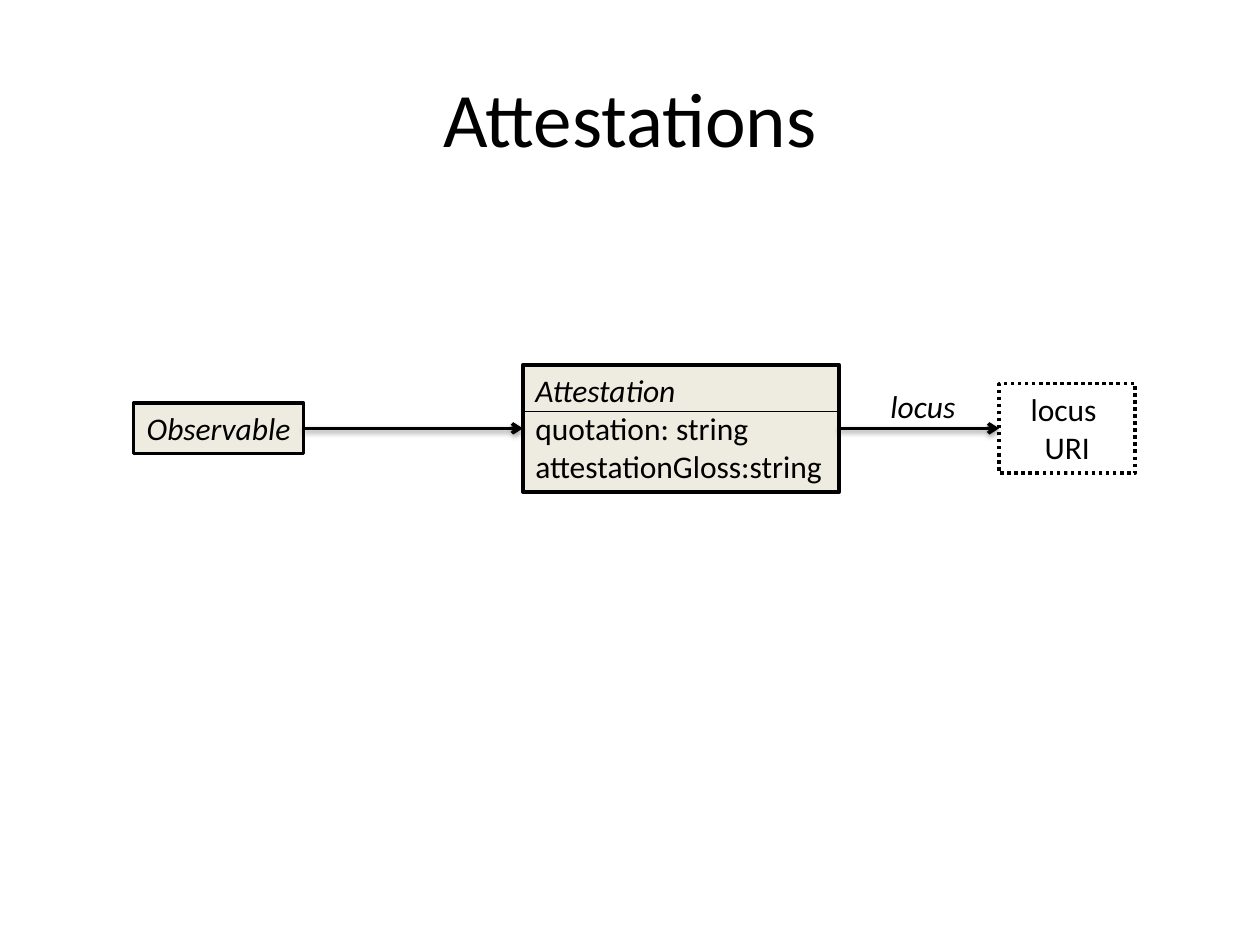
from lxml import etree
from pptx import Presentation
from pptx.dml.color import RGBColor
from pptx.enum.dml import MSO_LINE
from pptx.enum.shapes import MSO_CONNECTOR, MSO_SHAPE
from pptx.enum.text import MSO_ANCHOR, MSO_AUTO_SIZE, PP_ALIGN
from pptx.oxml import parse_xml
from pptx.oxml.ns import nsdecls, qn
from pptx.util import Inches, Pt

RECTANGLE = MSO_SHAPE.RECTANGLE
ELBOW, STRAIGHT = MSO_CONNECTOR.ELBOW, MSO_CONNECTOR.STRAIGHT
LEFT, CENTER = PP_ALIGN.LEFT, PP_ALIGN.CENTER
TOP, MIDDLE = MSO_ANCHOR.TOP, MSO_ANCHOR.MIDDLE
FIT_TEXT = MSO_AUTO_SIZE.SHAPE_TO_FIT_TEXT
DOTTED = MSO_LINE.ROUND_DOT

FONT, INK, PAPER = "Calibri", "000000", "EEECE1"
CELL = Inches(0.1)  # grid of 100 columns by 75 rows
AXIS = 34  # row on which the boxes and arrows are centred


def grid(*cells):
    return [round(cell * CELL) for cell in cells]


def color(value):
    return RGBColor.from_string(value)


def set_text(shape, lines, size=18, align=CENTER, anchor=TOP, wrap=False, italic_lines=0):
    """Write the lines, the first italic_lines of them in italics."""
    text_frame = shape.text_frame
    text_frame.text = "\n".join(lines)
    text_frame.vertical_anchor = anchor
    text_frame.word_wrap = wrap
    for index, paragraph in enumerate(text_frame.paragraphs):
        paragraph.alignment = align
        for run in paragraph.runs:
            run.font.name = FONT
            run.font.size = Pt(size)
            run.font.italic = index < italic_lines
            run.font.color.rgb = color(INK)


def set_line(line, width):
    line.color.rgb = color(INK)
    line.width = Pt(width)


def set_effects(connector, shadow=False):
    """Give the connector a soft shadow below it, or none at all."""
    effects = etree.SubElement(connector._element.spPr, qn("a:effectLst"))
    if shadow:
        effects.append(parse_xml(
            f'<a:outerShdw {nsdecls("a")} blurRad="40000" dist="20000" dir="5400000" '
            f'rotWithShape="0"><a:srgbClr val="{INK}"><a:alpha val="38000"/>'
            '</a:srgbClr></a:outerShdw>'))


def add_box(shapes, box, lines, fill=None, **text_options):
    shape = shapes.add_shape(RECTANGLE, *grid(*box))
    shape.shadow.inherit = False
    if fill:
        shape.fill.solid()
        shape.fill.fore_color.rgb = color(fill)
    else:
        shape.fill.background()
    set_line(shape.line, 2)
    set_text(shape, lines, **text_options)
    shape.text_frame.auto_size = FIT_TEXT
    return shape


def add_arrow(shapes, source, target):
    """Join the right side of one box to the left side of the next."""
    arrow = shapes.add_connector(
        ELBOW,
        source.left + source.width, source.top + source.height // 2,
        target.left, target.top + target.height // 2)
    set_line(arrow.line, 2)
    line_element = arrow.line._get_or_add_ln()
    etree.SubElement(line_element, qn("a:tailEnd"), type="arrow")
    set_effects(arrow, shadow=True)


def add_class_box(shapes, box, lines, header_rows):
    """Class box whose name is ruled off from its attributes."""
    left, top, width, _ = box
    group = shapes.add_group_shape()
    shape = add_box(group.shapes, box, lines, PAPER, align=LEFT, italic_lines=1)
    rule_row = top + header_rows
    rule = group.shapes.add_connector(
        STRAIGHT, *grid(left, rule_row, left + width, rule_row))
    set_line(rule.line, 0.75)
    set_effects(rule)
    return shape


def add_title(slide, box, text):
    title = slide.shapes.title
    title.left, title.top, title.width, title.height = grid(*box)
    set_text(title, [text], size=44, anchor=MIDDLE, wrap=True)


def add_label(shapes, box, text):
    label = shapes.add_textbox(*grid(*box))
    set_text(label, [text], italic_lines=1)
    label.text_frame.auto_size = FIT_TEXT


def centred(left, width, height):
    return left, AXIS - height / 2, width, height


def add_diagram(shapes):
    # Boxes from left to right
    observable = add_box(shapes, centred(10.6, 13.5, 4), ["Observable"], PAPER,
                         italic_lines=1)
    attestation = add_class_box(
        shapes, centred(41.5, 25.1, 10.1),
        ["Attestation", "quotation: string", "attestationGloss:string"],
        header_rows=3.7)
    locus = add_box(shapes, centred(79.3, 10.8, 7.1), ["locus ", "URI"], wrap=True)
    locus.line.dash_style = DOTTED

    # Relations between them
    add_arrow(shapes, observable, attestation)
    add_arrow(shapes, attestation, locus)
    add_label(shapes, (69.6, 30.2, 7.3, 4), "locus")


def main():
    presentation = Presentation()
    presentation.slide_width, presentation.slide_height = grid(100, 75)
    slide = presentation.slides.add_slide(presentation.slide_layouts[5])
    add_title(slide, (5, 3, 90, 12.5), "Attestations")
    add_diagram(slide.shapes)
    presentation.save("out.pptx")


if __name__ == "__main__":
    main()
